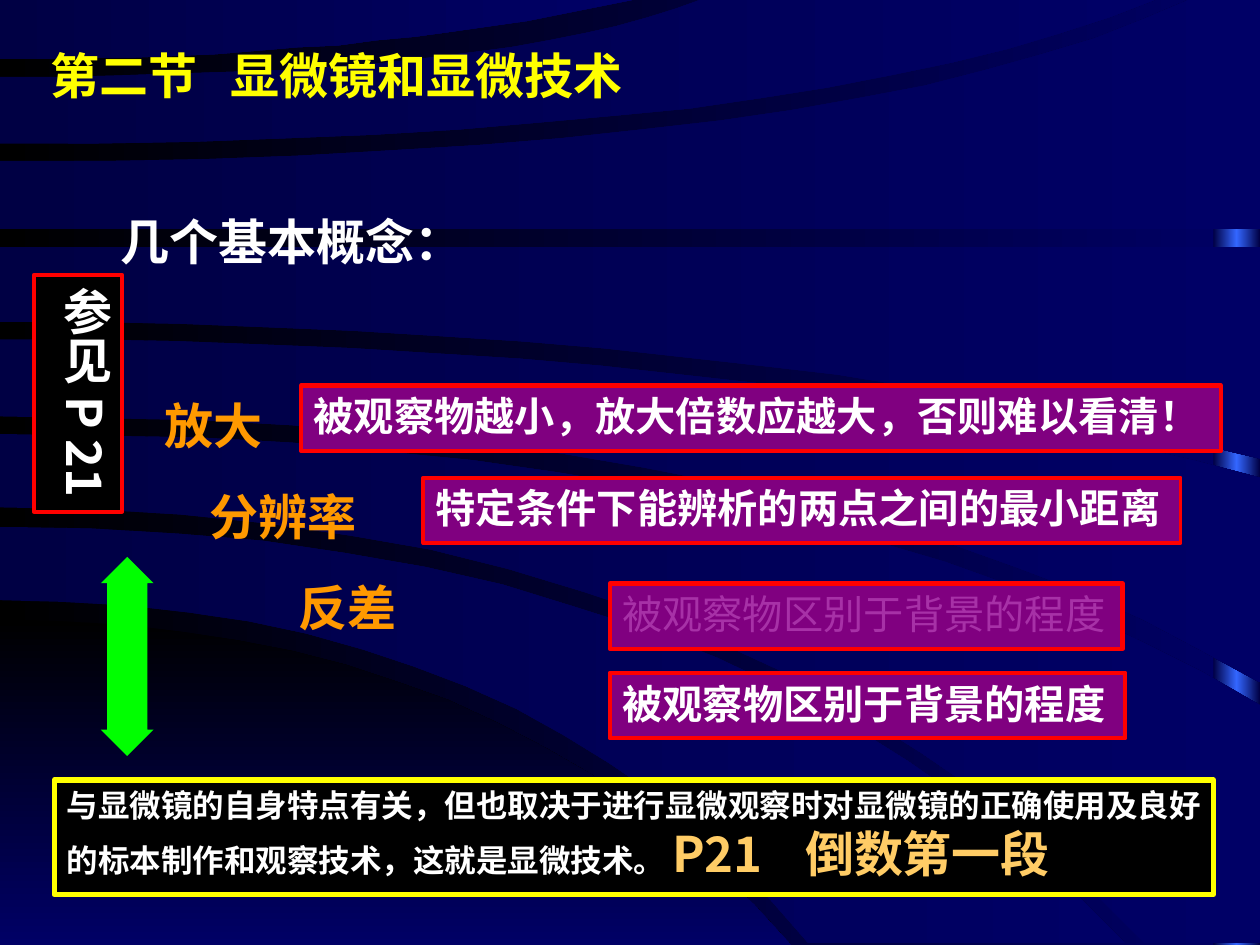
import copy

import pptx
import pptx.dml.color
import pptx.enum.shapes
import pptx.enum.text
import pptx.oxml
import pptx.oxml.ns
import pptx.util
from lxml import etree

Pt = pptx.util.Pt
RGBColor = pptx.dml.color.RGBColor
MSO_SHAPE = pptx.enum.shapes.MSO_SHAPE
MSO_ANCHOR = pptx.enum.text.MSO_ANCHOR
MSO_AUTO_SIZE = pptx.enum.text.MSO_AUTO_SIZE
qn = pptx.oxml.ns.qn

FONT = "Noto Sans CJK SC"
BLACK = RGBColor(0x00, 0x00, 0x00)
WHITE = RGBColor(0xFF, 0xFF, 0xFF)
NAVY = RGBColor(0x00, 0x00, 0x66)
DARK_NAVY = RGBColor(0x00, 0x00, 0x44)
BRIGHT_BLUE = RGBColor(0x33, 0x66, 0xFF)
YELLOW = RGBColor(0xFF, 0xFF, 0x00)
ORANGE = RGBColor(0xFF, 0x99, 0x00)
GOLD = RGBColor(0xFF, 0xCC, 0x66)
RED = RGBColor(0xFF, 0x00, 0x00)
GREEN = RGBColor(0x00, 0xFF, 0x00)
PURPLE = RGBColor(0x80, 0x00, 0x80)
FADED_PURPLE = RGBColor(0xA7, 0x31, 0xA7)


def paint_gradient(fill, colors, angle=0):
    """Spread the colours evenly; the angle runs counter-clockwise."""
    fill.gradient()
    fill.gradient_angle = angle
    last_stop = fill.gradient_stops[-1]._gs
    for _ in colors[2:]:
        last_stop.addnext(copy.deepcopy(last_stop))
    for i, (stop, color) in enumerate(zip(fill.gradient_stops, colors)):
        stop.position = i / (len(colors) - 1)
        stop.color.rgb = color


def write(paragraph, text, size, color, bold=True, tab=None):
    """Fill a left-aligned paragraph, with an optional tab stop in points."""
    paragraph.text = text
    paragraph.alignment = pptx.enum.text.PP_ALIGN.LEFT
    if tab:
        tabs = etree.SubElement(paragraph._p.get_or_add_pPr(), qn("a:tabLst"))
        etree.SubElement(tabs, qn("a:tab"), pos=str(Pt(tab)), algn="l")
    font = paragraph.font
    font.name = FONT
    etree.SubElement(font._rPr, qn("a:ea"), typeface=FONT)
    font.size = Pt(size)
    font.bold = bold
    font.color.rgb = color


prs = pptx.Presentation()
prs.slide_width, prs.slide_height = Pt(720), Pt(540)
slide = prs.slides.add_slide(prs.slide_layouts[5])
shapes = slide.shapes
paint_gradient(slide.background.fill, [BLACK, NAVY])

# Background: a bright strip at the right, covered by curved bands
strip = shapes.add_shape(MSO_SHAPE.RECTANGLE, Pt(693.4), Pt(0), Pt(26.6), Pt(540))
strip.shadow.inherit = False
strip.line.fill.background()
paint_gradient(strip.fill, [DARK_NAVY, BRIGHT_BLUE, DARK_NAVY])

# Each edge leaves the left side level: start y, bend x, end x, end y
bands = [
    ((354, 287, 452, 540), (540, 226, 452, 540)),
    ((301, 419, 643, 539), (343, 302, 462, 539)),
    ((248, 465, 720, 403), (290, 423, 654, 539)),
    ((194, 417, 720, 273), (238, 466, 720, 390)),
    ((141, 360, 720, 141), (184, 420, 720, 262)),
    ((92, 482, 679, 0), (131, 360, 720, 131)),
    ((44, 290, 400, 0), (82, 459, 660, 0)),
    ((0, 180, 361, 0), (34, 205, 361, 0)),
]
STEPS = 16
for i, band in enumerate(bands):
    upper, lower = [
        [(2 * t * (1 - t) * bend + t * t * end_x, start_y + t * t * (end_y - start_y))
         for t in (step / STEPS for step in range(STEPS + 1))]
        for start_y, bend, end_x, end_y in band
    ]
    shorter, longer = sorted([upper[-1], lower[-1]])
    outline = upper + [(longer[0], shorter[1])] + lower[::-1]
    builder = shapes.build_freeform(*outline[0], scale=Pt(1))
    builder.add_line_segments(outline[1:], close=True)
    curve = builder.convert_to_shape()
    curve.shadow.inherit = False
    curve.line.fill.background()
    if i == 0:
        paint_gradient(curve.fill, [BLACK, NAVY], angle=270)
    else:
        paint_gradient(curve.fill, [DARK_NAVY, NAVY])

# Headings; the title goes in front of the background curves
title = shapes.title
shapes._spTree.append(title._element)
title.left, title.top, title.width, title.height = Pt(21.6), Pt(22.3), Pt(366.5), Pt(41)
subtitle = shapes.add_textbox(Pt(61.9), Pt(117.4), Pt(211.7), Pt(41))
for heading, text, color, tab in [
    (title, "第二节\t显微镜和显微技术", YELLOW, 103),
    (subtitle, "几个基本概念：", WHITE, None),
]:
    frame = heading.text_frame
    frame.word_wrap = False
    frame.auto_size = MSO_AUTO_SIZE.SHAPE_TO_FIT_TEXT
    frame.vertical_anchor = MSO_ANCHOR.TOP
    write(frame.paragraphs[0], text, 28, color, tab=tab)

# Concepts, each indented further than the one above
concepts = shapes.add_textbox(Pt(87.1), Pt(203.8), Pt(240.5), Pt(163.4)).text_frame
concepts.word_wrap = True
for i, (concept, indent) in enumerate([("放大", 0), ("分辨率", 25.5), ("反差", 76.5)]):
    paragraph = concepts.add_paragraph() if i else concepts.paragraphs[0]
    paragraph.line_spacing = 1.55
    paragraph._p.get_or_add_pPr().set("marL", str(Pt(indent)))
    write(paragraph, concept, 28, ORANGE)

# Framed panels: definitions, the closing remark and the page reference
panels = [
    ("被观察物越小，放大倍数应越大，否则难以看清！",
     (172.1, 220.3, 525.6, 37.4), PURPLE, RED, 2.5, 23, WHITE),
    ("特定条件下能辨析的两点之间的最小距离",
     (241.9, 272.9, 432.7, 37.4), PURPLE, RED, 2.25, 23, WHITE),
    ("被观察物区别于背景的程度",
     (348.5, 333.4, 293, 37.4), PURPLE, RED, 2.5, 23, FADED_PURPLE),
    ("被观察物区别于背景的程度",
     (348.5, 384.5, 294.5, 37.4), PURPLE, RED, 2.5, 23, WHITE),
    ("与显微镜的自身特点有关，但也取决于进行显微观察时对显微镜的正确使用及良好"
     "的标本制作和观察技术，这就是显微技术。 ",
     (31, 445.7, 662.4, 65.5), BLACK, YELLOW, 3, 18, WHITE),
    ("参见 P 21", (19.4, 157, 50.4, 135.4), BLACK, RED, 2.25, 28, WHITE),
]
for text, place, fill, border, weight, size, color in panels:
    panel = shapes.add_shape(MSO_SHAPE.RECTANGLE, *map(Pt, place))
    panel.shadow.inherit = False
    panel.fill.solid()
    panel.fill.fore_color.rgb = fill
    panel.line.color.rgb = border
    panel.line.width = Pt(weight)
    is_remark = border == YELLOW
    frame = panel.text_frame
    frame.word_wrap = is_remark
    frame.auto_size = MSO_AUTO_SIZE.SHAPE_TO_FIT_TEXT
    frame.vertical_anchor = MSO_ANCHOR.TOP
    paragraph = frame.paragraphs[0]
    write(paragraph, text, size, color, bold=color == WHITE, tab=422 if is_remark else None)
    if is_remark:
        page_note = paragraph.add_run()
        page_note.text = "P21\t倒数第一段"
        page_note.font.size = Pt(28)
        page_note.font.color.rgb = GOLD
    elif size == 28:
        frame._txBody.bodyPr.set("vert", "eaVert")

arrow = shapes.add_shape(MSO_SHAPE.UP_DOWN_ARROW, Pt(57.6), Pt(318.2), Pt(30.2), Pt(113.8))
arrow.adjustments[0], arrow.adjustments[1] = 0.5, 0.76
arrow.shadow.inherit = False
arrow.fill.solid()
arrow.fill.fore_color.rgb = GREEN
arrow.line.fill.background()

prs.save("out.pptx")
